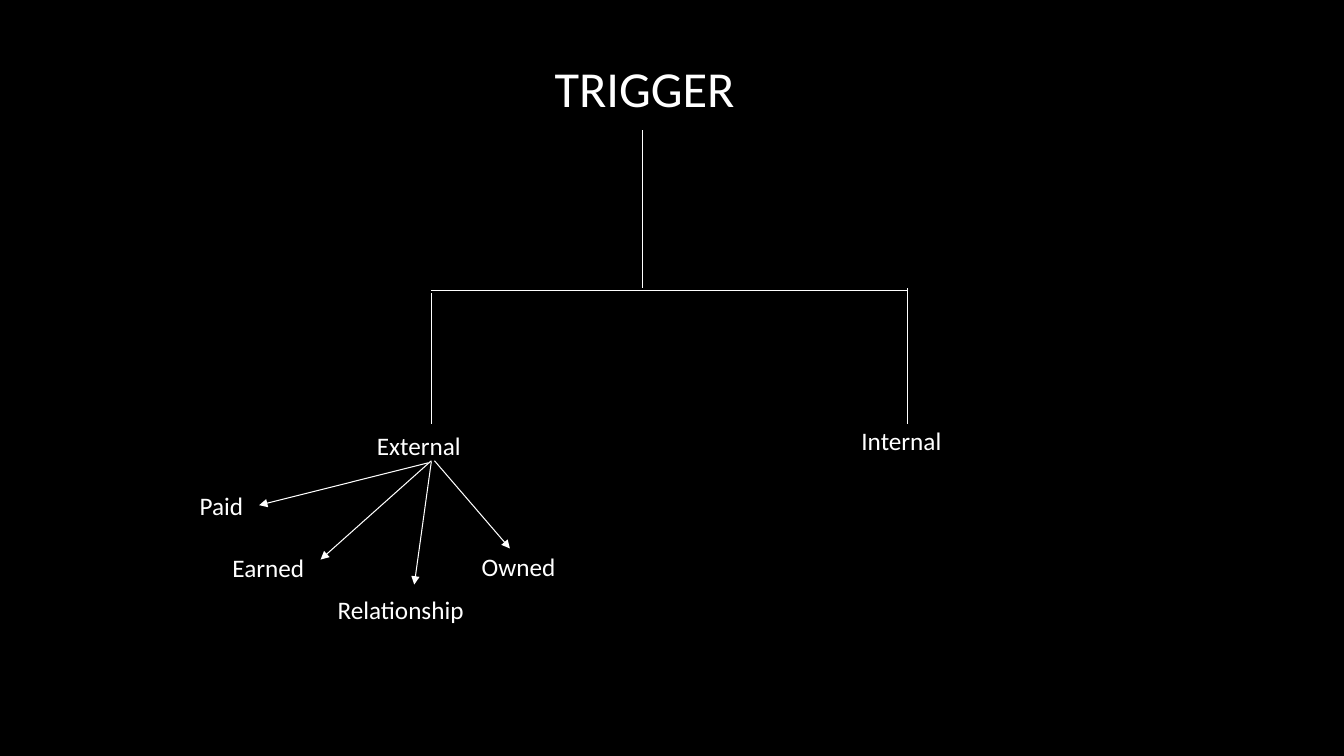
from collections import namedtuple

from lxml import etree
from pptx import Presentation
from pptx.dml.color import RGBColor
from pptx.enum.shapes import MSO_CONNECTOR
from pptx.enum.text import MSO_ANCHOR, MSO_AUTO_SIZE, PP_ALIGN
from pptx.oxml.ns import qn
from pptx.util import Cm, Pt

STRAIGHT = MSO_CONNECTOR.STRAIGHT
MIDDLE = MSO_ANCHOR.MIDDLE
LEFT = PP_ALIGN.LEFT
GROW = MSO_AUTO_SIZE.SHAPE_TO_FIT_TEXT

COLOURS = {"background": "000000", "text": "FFFFFF", "line": "FFFFFF"}
FONT = "Calibri"
LABEL_HEIGHT = 1.02

Box = namedtuple("Box", "left top width height")


def colour(name):
    """Return the named palette colour."""
    return RGBColor.from_string(COLOURS[name])


def write_text(text_frame, text, size):
    """Write one left-aligned line of text in the slide's font."""
    text_frame.text = text
    text_frame.word_wrap = True
    paragraph = text_frame.paragraphs[0]
    paragraph.alignment = LEFT
    font = paragraph.runs[0].font
    font.name = FONT
    font.size = Pt(size)
    font.color.rgb = colour("text")


def add_label(slide, text, left, top, width):
    """Add a label whose box grows with its text."""
    shape = slide.shapes.add_textbox(Cm(left), Cm(top), Cm(width), Cm(LABEL_HEIGHT))
    write_text(shape.text_frame, text, 18)
    shape.text_frame.auto_size = GROW


def add_line(slide, start, end, arrow=False):
    """Add a thin straight line, with an arrowhead at its end if asked."""
    points = [Cm(value) for value in (*start, *end)]
    connector = slide.shapes.add_connector(STRAIGHT, *points)
    connector.line.color.rgb = colour("line")
    connector.line.width = Pt(0.75)
    if arrow:
        etree.SubElement(connector.line._get_or_add_ln(), qn("a:tailEnd"), type="triangle")
    etree.SubElement(connector._element.spPr, qn("a:effectLst"))


def add_title(slide, box):
    """Place and format the title in its box."""
    title = slide.shapes.title
    title.left, title.top, title.width, title.height = (Cm(value) for value in box)
    write_text(title.text_frame, "TRIGGER", 36)
    title.text_frame.vertical_anchor = MIDDLE


def add_trigger_branches(slide, box):
    """Draw the stem, the crossbar and the two labelled branches."""
    right, bottom = box.left + box.width, box.top + box.height
    stem, bar = box.left + 5.31, box.top + 4.04
    add_line(slide, (stem, box.top), (stem, bar - 0.06))
    add_line(slide, (box.left, bar), (right, bar))
    add_line(slide, (box.left, bar + 0.07), (box.left, bottom))
    add_line(slide, (right, bar - 0.06), (right, bottom))
    add_label(slide, "External", box.left - 1.62, bottom + 0.03, 5.54)
    add_label(slide, "Internal", right - 1.4, bottom - 0.1, 7.9)


def add_external_channels(slide, box):
    """Fan arrows out from the external branch to its four channels."""
    channels = [
        ("Paid", (0, 0.63, 8.94), (6.02, 0.05), (1.75, 1.12)),
        ("Earned", (0.83, 2.18, 8.28), (6.09, 0), (3.3, 2.49)),
        ("Relationship", (3.48, 3.25, 5.64), (6.09, 0.02), (5.66, 3.12)),
        ("Owned", (7.11, 2.16, 5.33), (6.17, 0), (8.07, 2.21)),
    ]
    for text, (left, top, width), start, end in channels:
        add_label(slide, text, box.left + left, box.top + top, width)
        start, end = ((box.left + x, box.top + y) for x, y in (start, end))
        add_line(slide, start, end, arrow=True)


def main():
    """Build the trigger slide and save it."""
    presentation = Presentation()
    presentation.slide_width = Cm(33.87)
    presentation.slide_height = Cm(19.05)
    slide = presentation.slides.add_slide(presentation.slide_layouts[5])
    fill = slide.background.fill
    fill.solid()
    fill.fore_color.rgb = colour("background")
    add_title(slide, Box(13.72, 0, 7.04, 4.42))
    add_trigger_branches(slide, Box(10.87, 3.28, 11.99, 7.41))
    add_external_channels(slide, Box(4.78, 11.61, 12.44, 4.27))
    presentation.save("out.pptx")


if __name__ == "__main__":
    main()
